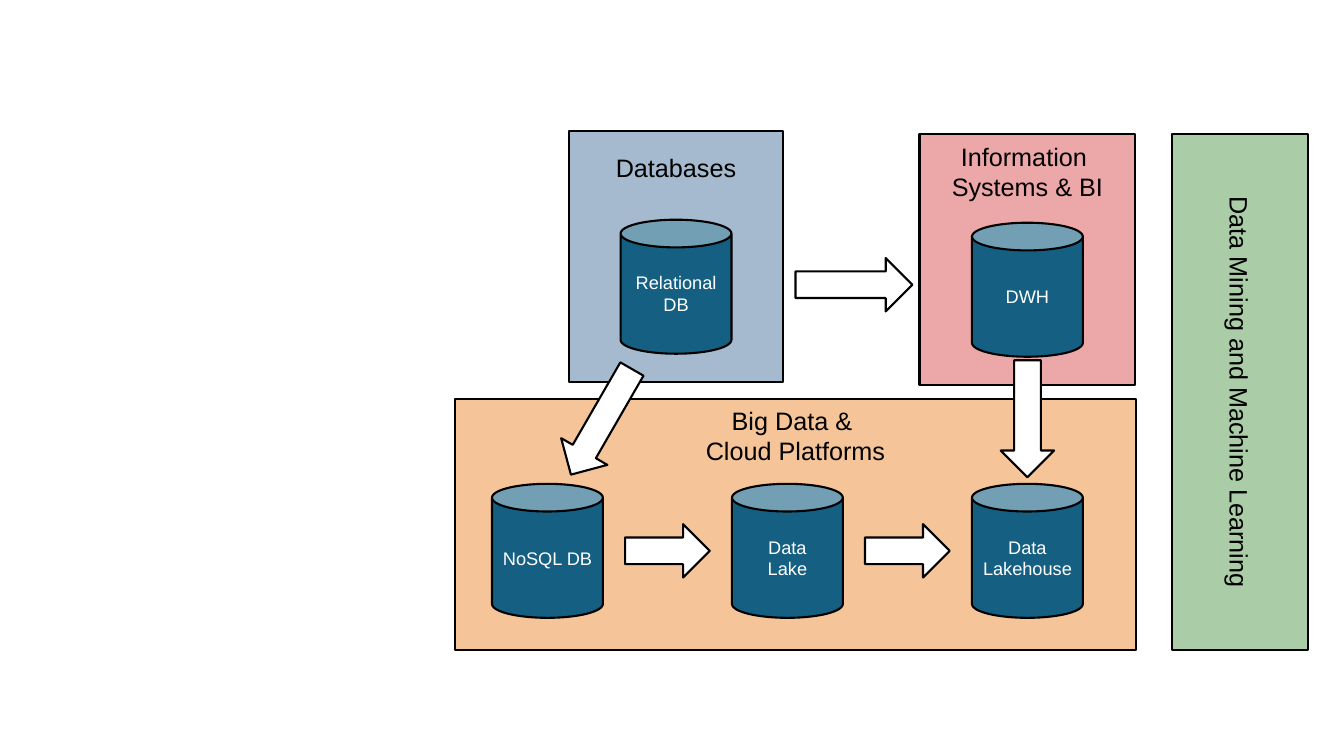
from pptx import Presentation
from pptx.dml.color import RGBColor
from pptx.enum.shapes import MSO_SHAPE
from pptx.enum.text import MSO_ANCHOR, PP_ALIGN
from pptx.oxml.ns import qn
from pptx.util import Inches, Pt

COLORS = {
    "databases": "4C76A0",
    "information": "DA5354",
    "big_data": "EC8B34",
    "mining": "569B50",
    "store": "156082",
    "black": "000000",
    "white": "FFFFFF",
}
FONT = "Arial"
STORE_WIDTH, STORE_HEIGHT = 1.1, 1.33
ARROW_HEIGHT = 0.53


def add_outlined(slide, kind, box, color):
    """Add a filled preset shape with a black outline and no shadow."""
    shape = slide.shapes.add_shape(kind, *[Inches(length) for length in box])
    shape.shadow.inherit = False
    shape.fill.solid()
    shape.fill.fore_color.rgb = RGBColor.from_string(COLORS[color])
    shape.line.color.rgb = RGBColor.from_string(COLORS["black"])
    shape.line.width = Pt(1.5)
    return shape


def write_lines(shape, lines, size, color, anchor=MSO_ANCHOR.MIDDLE):
    """Write centred lines, one run each, into one paragraph."""
    frame = shape.text_frame
    frame.word_wrap = True
    frame.vertical_anchor = anchor
    paragraph = frame.paragraphs[0]
    paragraph.alignment = PP_ALIGN.CENTER
    for index, line in enumerate(lines):
        if index:
            paragraph.add_line_break()
        run = paragraph.add_run()
        run.text = line
        run.font.name = FONT
        run.font.size = Pt(size)
        run.font.color.rgb = RGBColor.from_string(COLORS[color])


def add_panel(slide, box, color, lines, anchor=MSO_ANCHOR.TOP, inset=0.05):
    """Add a half-transparent titled panel."""
    panel = add_outlined(slide, MSO_SHAPE.RECTANGLE, box, color)
    fill_color = panel.element.spPr.find(qn("a:solidFill")).find(qn("a:srgbClr"))
    fill_color.makeelement(qn("a:alpha"), {})
    alpha = fill_color.makeelement(qn("a:alpha"), {"val": "50000"})
    fill_color.append(alpha)
    panel.text_frame.margin_top = Inches(inset)
    write_lines(panel, lines, 18, "black", anchor)
    return panel


def add_store(slide, left, top, lines):
    """Add a labelled data store cylinder."""
    box = (left, top, STORE_WIDTH, STORE_HEIGHT)
    store = add_outlined(slide, MSO_SHAPE.CAN, box, "store")
    write_lines(store, lines, 13, "white")


def add_arrow(slide, left, top, width, rotation=0):
    """Add a white block arrow."""
    box = (left, top, width, ARROW_HEIGHT)
    arrow = add_outlined(slide, MSO_SHAPE.RIGHT_ARROW, box, "white")
    arrow.rotation = rotation


def build_source_panel(slide, box, color, title, inset, store):
    """Build a panel holding one centred data store."""
    left, top, width, height = box
    add_panel(slide, box, color, title, inset=inset)
    store_top = top + height - 0.28 - STORE_HEIGHT
    add_store(slide, left + (width - STORE_WIDTH) / 2, store_top, store)


def build_platforms(slide, box):
    """Build the big data panel with its chain of data stores."""
    left, top = box[:2]
    add_panel(slide, box, "big_data", ["Big Data & ", "Cloud Platforms"], inset=0.06)
    stores = [["NoSQL DB"], ["Data", "Lake"], ["Data", "Lakehouse"]]
    pitch = 2.38
    for index, lines in enumerate(stores):
        store_left = left + 0.37 + index * pitch
        add_store(slide, store_left, top + 0.84, lines)
        if index < len(stores) - 1:
            add_arrow(slide, store_left + 1.32, top + 1.24, 0.84)


def build_mining(slide, box):
    """Build the side panel with its vertical title."""
    title = ["Data Mining and Machine Learning"]
    panel = add_panel(slide, box, "mining", title, MSO_ANCHOR.MIDDLE)
    panel.element.txBody.find(qn("a:bodyPr")).set("vert", "vert")


def build_flows(slide, left, top):
    """Build the arrows that run between panels."""
    add_arrow(slide, left + 3.38, top + 1.26, 1.16)
    add_arrow(slide, left + 0.85, top + 2.62, 1.21, 120)
    add_arrow(slide, left + 5.1, top + 2.59, 1.16, 90)


def main():
    """Build and save the data landscape slide."""
    presentation = Presentation()
    presentation.slide_width = Inches(13.33)
    presentation.slide_height = Inches(7.5)
    slide = presentation.slides.add_slide(presentation.slide_layouts[6])
    build_platforms(slide, (4.51, 3.96, 6.76, 2.49))
    build_source_panel(slide, (9.12, 1.33, 2.14, 2.49), "information",
                       ["Information ", "Systems & BI"], 0.07, ["DWH"])
    build_source_panel(slide, (5.64, 1.3, 2.13, 2.49), "databases",
                       ["Databases"], 0.21, ["Relational DB"])
    build_mining(slide, (11.62, 1.33, 1.35, 5.12))
    build_flows(slide, 4.51, 1.3)
    presentation.save("out.pptx")


if __name__ == "__main__":
    main()
